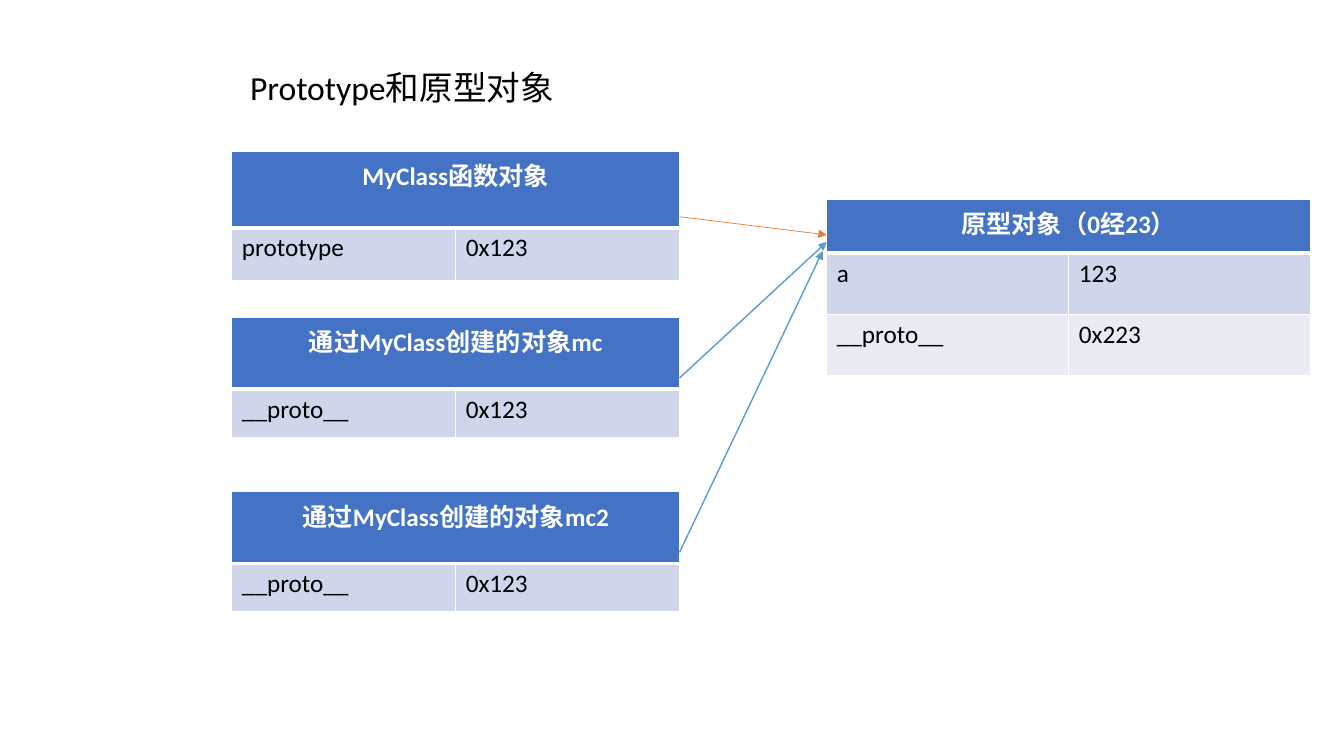
from lxml import etree
from pptx import Presentation
from pptx.dml.color import RGBColor
from pptx.enum.shapes import MSO_CONNECTOR
from pptx.enum.text import MSO_ANCHOR, MSO_AUTO_SIZE, PP_ALIGN
from pptx.oxml.ns import qn
from pptx.util import Pt

PX = 9144
WHITE = RGBColor(0xFF, 0xFF, 0xFF)
BLACK = RGBColor(0x00, 0x00, 0x00)
HEADER = RGBColor(0x44, 0x72, 0xC4)
BANDS = (RGBColor(0xCF, 0xD5, 0xEA), RGBColor(0xE9, 0xEB, 0xF5))
ORANGE = RGBColor(0xED, 0x7D, 0x31)
BLUE = RGBColor(0x5B, 0x9B, 0xD5)
FONT = "Calibri"
LEFT, CENTER = PP_ALIGN.LEFT, PP_ALIGN.CENTER
TOP = MSO_ANCHOR.TOP
FIT_SHAPE = MSO_AUTO_SIZE.SHAPE_TO_FIT_TEXT
STRAIGHT = MSO_CONNECTOR.STRAIGHT

OBJECTS = [
    ((230, 150, 444), (76, 52), "MyClass函数对象", [("prototype", "0x123")]),
    ((820, 198, 480), (53, 61, 61), "原型对象（0经23）",
     [("a", "123"), ("__proto__", "0x223")]),
    ((230, 315, 444), (71, 48), "通过MyClass创建的对象mc", [("__proto__", "0x123")]),
    ((230, 488, 444), (71, 48), "通过MyClass创建的对象mc2", [("__proto__", "0x123")]),
]
ARROWS = [
    ((674, 215), (820, 233), ORANGE, 0.5),
    ((674, 375), (820, 240), BLUE, 1),
    ((674, 548), (816, 249), BLUE, 1),
]


def write(tf, text, size=18, color=BLACK, bold=False, align=LEFT):
    """Write one formatted paragraph into a text frame."""
    p = tf.paragraphs[0]
    p.alignment = align
    r = p.add_run()
    r.text = text
    r.font.name = FONT
    r.font.size = Pt(size)
    r.font.bold = bold
    r.font.color.rgb = color


def add_title(s, x, y, w, h):
    """Place the slide title in the given box."""
    sp = s.shapes.title
    sp.left, sp.top, sp.width, sp.height = (v * PX for v in (x, y, w, h))
    tf = sp.text_frame
    tf.word_wrap = True
    tf.auto_size = FIT_SHAPE
    tf.vertical_anchor = TOP
    write(tf, "Prototype和原型对象", size=24)
    tf.paragraphs[0].line_spacing = 1.0


def set_borders(cell, top, bottom):
    """Give a cell white borders with the given top and bottom widths."""
    tc_pr = cell._tc.get_or_add_tcPr()
    widths = {"a:lnL": 1, "a:lnR": 1, "a:lnT": top, "a:lnB": bottom}
    for i, (tag, width) in enumerate(widths.items()):
        ln = etree.Element(qn(tag), w=str(Pt(width)))
        fill = etree.SubElement(ln, qn("a:solidFill"))
        etree.SubElement(fill, qn("a:srgbClr"), val=str(WHITE))
        tc_pr.insert(i, ln)


def add_object(s, box, heights, heading, fields):
    """Draw an object as a heading over rows of name and value."""
    x, y, w = box
    frame = s.shapes.add_table(len(heights), 2, x * PX, y * PX,
                               w * PX, sum(heights) * PX)
    table = frame.table
    for col in table.columns:
        col.width = w * PX // 2
    for row, height in zip(table.rows, heights):
        row.height = height * PX
    for i, row in enumerate(table.rows):
        for cell in row.cells:
            cell.fill.solid()
            cell.fill.fore_color.rgb = BANDS[(i - 1) % 2] if i else HEADER
            set_borders(cell, 3 if i == 1 else 1, 1 if i else 3)
    head = table.cell(0, 0)
    head.merge(table.cell(0, 1))
    write(head.text_frame, heading, color=WHITE, bold=True, align=CENTER)
    for i, field in enumerate(fields, 1):
        for j, text in enumerate(field):
            write(table.cell(i, j).text_frame, text)


def add_arrow(s, start, end, color, width):
    """Draw an arrow from an object to the prototype."""
    line = s.shapes.add_connector(STRAIGHT, *(v * PX for v in start + end))
    line.line.color.rgb = color
    line.line.width = Pt(width)
    etree.SubElement(line.line._get_or_add_ln(), qn("a:tailEnd"), type="triangle")
    etree.SubElement(line._element.spPr, qn("a:effectLst"))


def main():
    """Build and save the slide."""
    prs = Presentation()
    prs.slide_width, prs.slide_height = 1333 * PX, 750 * PX
    s = prs.slides.add_slide(prs.slide_layouts[5])
    add_title(s, 238, 61, 489, 50)
    for item in OBJECTS:
        add_object(s, *item)
    for arrow in ARROWS:
        add_arrow(s, *arrow)
    prs.save("out.pptx")


if __name__ == "__main__":
    main()
